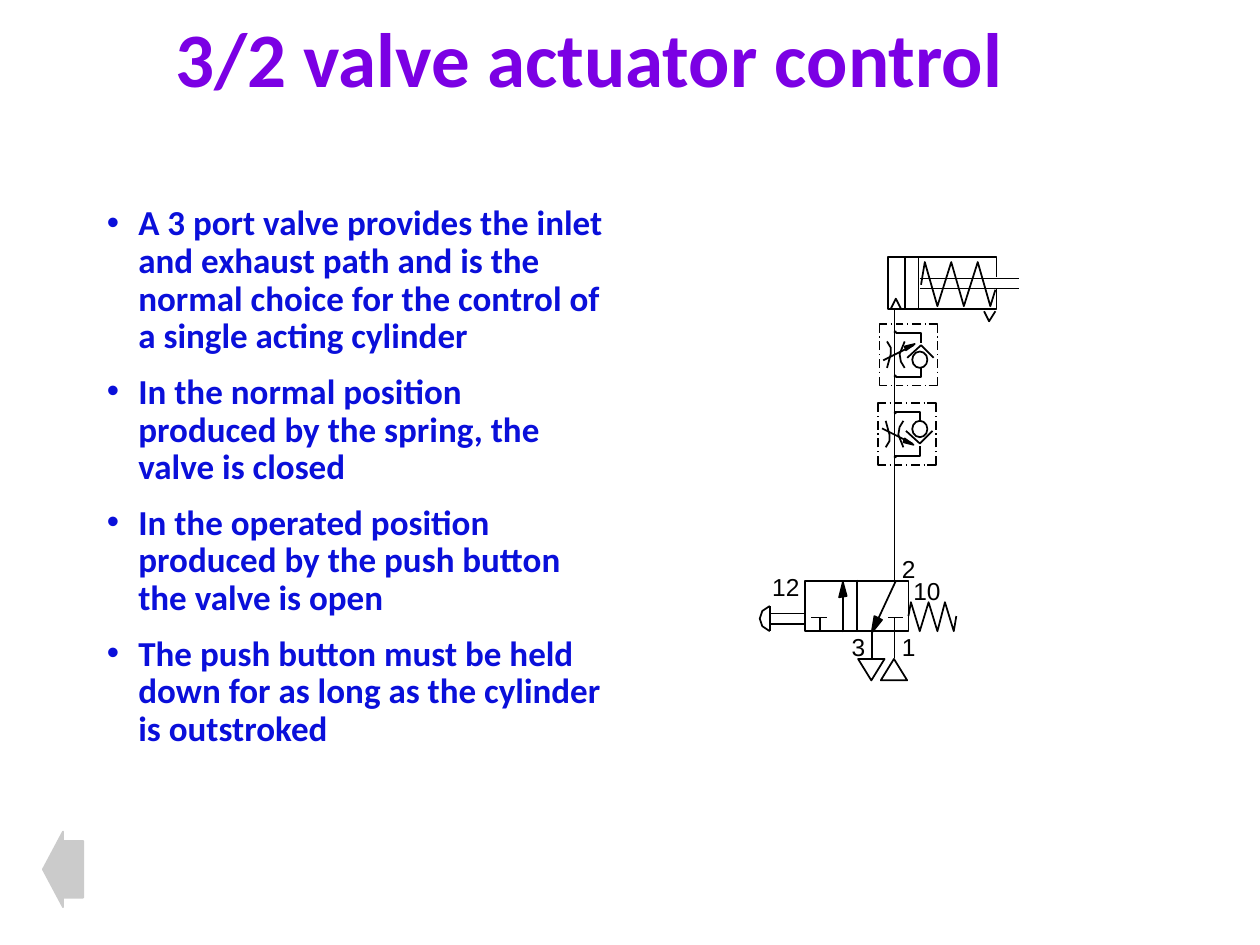
from lxml import etree
from pptx import Presentation
from pptx.dml.color import RGBColor
from pptx.enum import shapes, text
from pptx.oxml import ns
from pptx.util import Inches, Pt

hues = {"title": "7B00E4", "body": "0A0FDA", "ink": "000000", "back": "CBCBCB"}
deck = Presentation()
deck.slide_width, deck.slide_height = Inches(10), Inches(7.5)
cell = deck.slide_width // 1000
slide = deck.slides.add_slide(deck.slide_layouts[5])
page = slide.shapes
kinds = shapes.MSO_SHAPE


def draw(home, *pts, fill=False):
    if len(pts) == 2:
        item = home.add_connector(shapes.MSO_CONNECTOR.STRAIGHT,
                                  *[v * cell for p in pts for v in p])
    else:
        path = home.build_freeform(*pts[0], scale=cell)
        path.add_line_segments(pts[1:], close=fill)
        item = path.convert_to_shape()
        item.shadow.inherit = False
        if fill:
            item.fill.solid()
            item.fill.fore_color.rgb = RGBColor.from_string(hues["ink"])
        else:
            item.fill.background()
    item.line.width = Pt(1)
    item.line.color.rgb = RGBColor.from_string(hues["ink"])
    if len(pts) == 2:
        etree.SubElement(item._element.spPr, ns.qn("a:effectLst"))


def put(home, kind, box, fill=None, edge="ink"):
    item = home.add_shape(kind, *[v * cell for v in box])
    item.shadow.inherit = False
    if fill:
        item.fill.solid()
        item.fill.fore_color.rgb = RGBColor.from_string(hues[fill])
    else:
        item.fill.background()
    item.line.width = Pt(1)
    item.line.color.rgb = RGBColor.from_string(hues[edge])
    return item


head = page.title
head.left, head.top, head.width, head.height = [v * cell for v in (129, 9, 747, 81)]
frame = head.text_frame
frame.auto_size = text.MSO_AUTO_SIZE.NONE
frame.vertical_anchor = text.MSO_ANCHOR.MIDDLE
para = frame.paragraphs[0]
para.alignment = text.PP_ALIGN.LEFT
para.line_spacing = 0.9
run = para.add_run()
run.text = "3/2 valve actuator control"
run.font.name, run.font.size, run.font.bold = "Calibri", Pt(44), True
run.font.color.rgb = RGBColor.from_string(hues["title"])

points = [
    "A 3 port valve provides the inlet and exhaust path and is the normal choice "
    "for the control of a single acting cylinder",
    "In the normal position produced by the spring, the valve is closed",
    "In the operated position produced by the push button the valve is open",
    "The push button must be held down for as long as the cylinder is outstroked",
]
frame = page.add_textbox(*[v * cell for v in (75, 158, 417, 492)]).text_frame
frame.word_wrap = True
for i, point in enumerate(points):
    para = frame.add_paragraph() if i else frame.paragraphs[0]
    para.line_spacing = 0.9
    para.space_before = Pt(10 if i else 0)
    props = para._p.get_or_add_pPr()
    props.set("marL", str(25 * cell))
    props.set("indent", str(-25 * cell))
    tint = etree.SubElement(props, ns.qn("a:buClr"))
    etree.SubElement(tint, ns.qn("a:srgbClr"), val=hues["body"])
    etree.SubElement(props, ns.qn("a:buFont"), typeface="Arial")
    etree.SubElement(props, ns.qn("a:buChar"), char="•")
    run = para.add_run()
    run.text = point
    run.font.name, run.font.size, run.font.bold = "Calibri", Pt(20), True
    run.font.color.rgb = RGBColor.from_string(hues["body"])

rod = page.add_group_shape().shapes
for y in (221, 229):
    draw(rod, (730, y), (809, y))
for x in (729, 718):
    draw(rod, (x, 204), (x, 246))
draw(page, (791, 220), (791, 204), (705, 204), (705, 245), (791, 245), (791, 229))
coil = [(x, 208 if i % 2 else 243) for i, x in enumerate((786, 776, 765, 755, 744, 734))]
draw(page, (790, 230), *coil, (731, 226))
draw(page, (707, 245), (711, 237), (715, 245))
draw(page, (781, 247), (785, 255), (790, 247))
draw(page, (710, 246), (710, 460))

valve = page.add_group_shape().shapes
for x in (710, 692):
    draw(valve, (x, 501), (x, 522))
for x, left in ((710, 705), (651, 644)):
    draw(valve, (x, 490), (x, 502))
    draw(valve, (left, 490), (left + 12, 490))
draw(valve, (669, 462), (666, 474), (672, 473), fill=True)
draw(valve, (692, 502), (692, 501), (694, 489), (700, 492), fill=True)
put(valve, kinds.RECTANGLE, (639, 461, 82, 40))
draw(valve, (680, 460), (680, 502))
draw(valve, (711, 461), (692, 502))
draw(valve, (669, 502), (669, 461))
ports = [("1", 706, 497, 31), ("2", 706, 435, 31), ("3", 666, 497, 31),
         ("12", 603, 449, 42), ("10", 715, 452, 42)]
for name, x, y, wide in ports:
    frame = valve.add_textbox(x * cell, y * cell, wide * cell, 33 * cell).text_frame
    frame.word_wrap = False
    frame.auto_size = text.MSO_AUTO_SIZE.SHAPE_TO_FIT_TEXT
    run = frame.paragraphs[0].add_run()
    run.text = name
    run.font.name, run.font.size = "Arial", Pt(14)
    run.font.color.rgb = RGBColor.from_string(hues["ink"])
for x, turn in ((699, 0), (681, 180)):
    put(valve, kinds.ISOSCELES_TRIANGLE, (x, 523, 21, 17)).rotation = turn
coil = [(x, 478 if i % 2 else 501) for i, x in enumerate((757, 750, 744, 737, 730, 723))]
draw(valve, (759, 489), *coil, (721, 489))
draw(valve, (611, 481), (611, 501))
draw(valve, (611, 481), (605, 485), (603, 491), (605, 497), (611, 501))
for y in (487, 495):
    draw(valve, (612, y), (638, y))

parts = [
    [(731, 272), (731, 264), (711, 264)],
    [(731, 292), (731, 299), (711, 299)],
    [(718, 271), (714, 281), (715, 287), (718, 292)],
    [(704, 292), (707, 281), (707, 279), (707, 276), (704, 271)],
    [(701, 286), (725, 274)],
    [(720, 284), (731, 274), (741, 284)],
]
for y, edge, inner in ((257, 257, 264), (306, 306, 299)):
    parts += [[(737, y), (744, edge), (744, inner)][:1] + [(744, y), (744, inner)],
              [(704, y), (698, y), (698, inner)]]
    parts += [[(a, y), (b, y)] for a, b in
              ((731, 724), (717, 711), (707, 708), (720, 721), (734, 735))]
for x in (744, 698):
    parts += [[(x, a), (x, b)] for a, b in
              ((267, 268), (281, 282), (295, 296), (271, 278), (285, 292))]
for shift, base, sign in ((-1, 626, -1), (0, 0, 1)):
    choke = page.add_group_shape().shapes
    for part in parts:
        draw(choke, *[(x + shift, base + sign * y) for x, y in part])
    tip = [(726, 273), (718, 275), (719, 278)]
    draw(choke, *[(x + shift, base + sign * y) for x, y in tip], fill=True)
    for x, y, wide, high, fill in ((710, 263, 1, 1, "ink"), (710, 298, 1, 1, "ink"),
                                   (724, 279, 12, 13, None)):
        top = y if sign > 0 else base - y - high
        put(choke, kinds.OVAL, (x, top, wide, high), fill)

back = put(page, kinds.LEFT_ARROW, (34, 660, 32, 60), "back", "back")
back.adjustments[0], back.adjustments[1] = 0.75, 0.5
deck.save("out.pptx")
